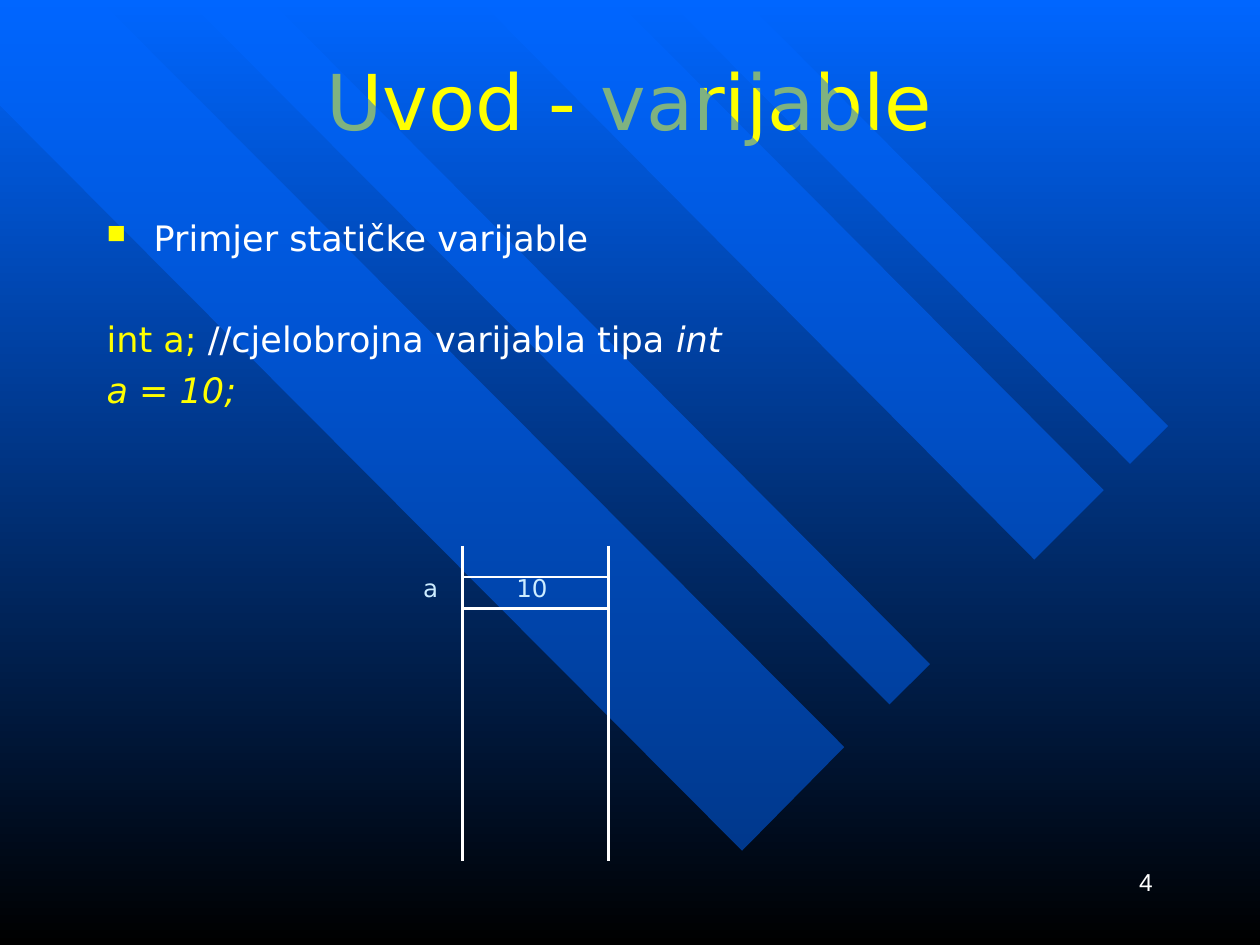
"""Builds the slide "Uvod - varijable" with a memory sketch of a static variable."""
from lxml import etree
from pptx import Presentation
from pptx.dml.color import RGBColor
from pptx.enum.shapes import MSO_CONNECTOR
from pptx.enum.text import MSO_ANCHOR, PP_ALIGN
from pptx.oxml.ns import qn
from pptx.util import Cm, Pt

STRAIGHT = MSO_CONNECTOR.STRAIGHT
MIDDLE, TOP = MSO_ANCHOR.MIDDLE, MSO_ANCHOR.TOP
LEFT, CENTER, RIGHT = PP_ALIGN.LEFT, PP_ALIGN.CENTER, PP_ALIGN.RIGHT

BLUE = RGBColor(0x00, 0x66, 0xFF)
BLACK = RGBColor(0x00, 0x00, 0x00)
YELLOW = RGBColor(0xFF, 0xFF, 0x00)
WHITE = RGBColor(0xFF, 0xFF, 0xFF)
PALE = RGBColor(0xCC, 0xEC, 0xFF)
FONT = "DejaVu Sans"

TITLE = "Uvod - varijable"
BODY = [
    (5, True, [("Primjer statičke varijable", WHITE, False)]),
    (34, False, [("int a;", YELLOW, False),
                 (" //cjelobrojna varijabla tipa ", WHITE, False),
                 ("int", WHITE, True)]),
    (5, False, [("a = 10;", YELLOW, True)]),
]
BANDS = [
    [(17.02, 15.06), (2.01, 0), (0, 0), (0, 2.13), (14.96, 17.15)],
    [(5.44, 0), (18.75, 13.39), (17.93, 14.2), (3.78, 0)],
    [(12.42, 0), (22.25, 9.88), (20.85, 11.28), (9.65, 0)],
    [(13.46, 0), (22.78, 9.35), (23.55, 8.59), (15.01, 0)],
]
STACK_SIDES = (9.32, 12.27)
STACK_ENDS = (11, 17.35)
CELL_EDGES = (11.63, 12.27)
LABELS = [
    ("a", (8.28, 11.43, 0.79, 0.86), False, LEFT, FONT, PALE, 0),
    ("10", (10.16, 11.43, 1.14, 0.86), True, LEFT, FONT, PALE, 0),
    ("4", (18.21, 17.35, 5.28, 1.27), True, RIGHT, "Arial", WHITE, 8.8),
]


def style_font(font, name, size, color):
    font.name, font.size = name, Pt(size)
    font.color.rgb = color


def add_band(slide, corners):
    points = [(Cm(x), Cm(y)) for x, y in corners]
    builder = slide.shapes.build_freeform(*points[0])
    builder.add_line_segments(points[1:], close=True)
    band = builder.convert_to_shape()
    band.shadow.inherit = False
    band.fill.solid()
    band.fill.fore_color.rgb = BLUE
    band.line.fill.background()
    color = band.fill._xPr.find(qn("a:solidFill"))[0]
    etree.SubElement(color, qn("a:alpha"), val="50000")


def add_line(slide, x1, y1, x2, y2):
    line = slide.shapes.add_connector(STRAIGHT, Cm(x1), Cm(y1), Cm(x2), Cm(y2))
    line.line.color.rgb = WHITE
    line.line.width = Pt(1.5)
    etree.SubElement(line._element.spPr, qn("a:effectLst"))


def add_box(slide, place, wrap=True):
    box = slide.shapes.add_textbox(*map(Cm, place))
    box.text_frame.word_wrap = wrap
    box.text_frame.vertical_anchor = TOP
    return box.text_frame


def hang(para, bulleted):
    props = para._p.get_or_add_pPr()
    props.set("marL", str(Cm(0.95)))
    props.set("indent", str(-Cm(0.95)))
    if bulleted:
        color = etree.SubElement(props, qn("a:buClr"))
        etree.SubElement(color, qn("a:srgbClr"), val=str(YELLOW))
        etree.SubElement(props, qn("a:buSzPct"), val="75000")
        etree.SubElement(props, qn("a:buChar"), char="■")


def add_title(slide):
    title = slide.shapes.title
    title.left, title.top, title.width, title.height = map(Cm, (1.9, 0.64, 21.6, 2.74))
    title.text_frame.text = TITLE
    title.text_frame.vertical_anchor = MIDDLE
    para = title.text_frame.paragraphs[0]
    para.alignment = CENTER
    style_font(para.font, FONT, 44, YELLOW)


def add_body(slide):
    frame = add_box(slide, (1.9, 4.23, 21.6, 12.7))
    for index, (space, bulleted, spans) in enumerate(BODY):
        para = frame.add_paragraph() if index else frame.paragraphs[0]
        para.space_before = Pt(space)
        hang(para, bulleted)
        for text, color, italic in spans:
            span = para.add_run()
            span.text = text
            span.font.italic = italic
            style_font(span.font, FONT, 20, color)


def add_label(slide, text, place, wrap, alignment, font, color, space):
    frame = add_box(slide, place, wrap)
    frame.text = text
    para = frame.paragraphs[0]
    para.alignment = alignment
    para.space_before = Pt(space)
    style_font(para.font, font, 14, color)


def main():
    deck = Presentation()
    deck.slide_width, deck.slide_height = Cm(25.4), Cm(19.05)
    slide = deck.slides.add_slide(deck.slide_layouts[5])
    backdrop = slide.background.fill
    backdrop.gradient()
    backdrop.gradient_angle = 270
    for stop, color, position in zip(backdrop.gradient_stops, (BLUE, BLACK), (0, 1)):
        stop.color.rgb, stop.position = color, position
    for corners in BANDS:
        add_band(slide, corners)
    add_title(slide)
    add_body(slide)
    for x in STACK_SIDES:
        add_line(slide, x, STACK_ENDS[0], x, STACK_ENDS[1])
    for y in CELL_EDGES:
        add_line(slide, STACK_SIDES[0], y, STACK_SIDES[1], y)
    for label in LABELS:
        add_label(slide, *label)
    deck.save("out.pptx")


if __name__ == "__main__":
    main()
